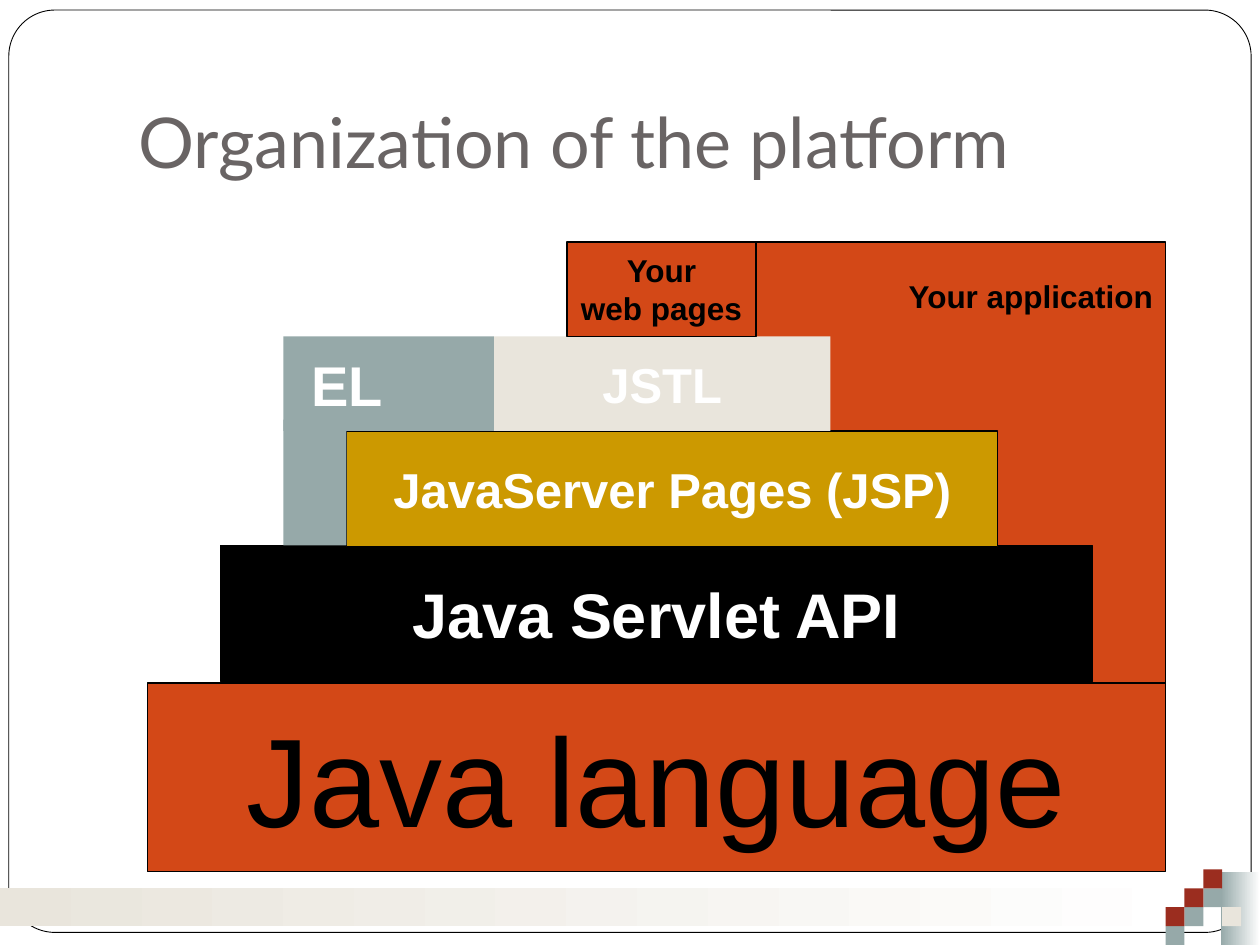
from pptx import Presentation
from pptx.dml.color import RGBColor
from pptx.enum.shapes import MSO_SHAPE
from pptx.enum.text import MSO_ANCHOR, PP_ALIGN
from pptx.util import Inches, Pt

BLACK = RGBColor(0x00, 0x00, 0x00)
WHITE = RGBColor(0xFF, 0xFF, 0xFF)
ORANGE = RGBColor(0xD3, 0x48, 0x17)
GOLD = RGBColor(0xCC, 0x99, 0x00)
TEAL = RGBColor(0x96, 0xA9, 0xA9)
SAND = RGBColor(0xE9, 0xE5, 0xDC)
RED = RGBColor(0x9B, 0x2D, 0x1F)
TITLE_GRAY = RGBColor(0x69, 0x64, 0x64)


def add_block(slide, box, color, outline=None, preset=MSO_SHAPE.RECTANGLE):
    block = slide.shapes.add_shape(preset, *map(Inches, box))
    block.shadow.inherit = False
    block.fill.solid()
    block.fill.fore_color.rgb = color
    if outline:
        block.line.color.rgb = BLACK
        block.line.width = Pt(outline)
    else:
        block.line.fill.background()
    return block


def add_fade(slide, box, color):
    fade = add_block(slide, box, color)
    fade.fill.gradient()
    fade.fill.gradient_angle = 0
    for stop, shade in zip(fade.fill.gradient_stops, (color, WHITE)):
        stop.color.rgb = shade


def write(shape, lines, size, color, bold=True, font="Arial",
          align=PP_ALIGN.CENTER, anchor=MSO_ANCHOR.MIDDLE):
    frame = shape.text_frame
    frame.word_wrap = True
    frame.vertical_anchor = anchor
    for index, line in enumerate(lines):
        paragraph = frame.add_paragraph() if index else frame.paragraphs[0]
        paragraph.alignment = align
        run = paragraph.add_run()
        run.text = line
        run.font.name = font
        run.font.size = Pt(size)
        run.font.bold = bold
        run.font.color.rgb = color
    return frame


def add_backdrop(slide):
    border = add_block(slide, (0.07, 0.08, 9.86, 7.32), WHITE, 0.5,
                       MSO_SHAPE.ROUNDED_RECTANGLE)
    border.adjustments[0] = 0.05
    add_fade(slide, (9.69, 6.92, 0.31, 0.58), TEAL)
    add_fade(slide, (0, 7.05, 9.55, 0.3), SAND)
    mosaic = [(1, 2, TEAL), (0, 3, TEAL), (0, 2, RED), (2, 1, TEAL),
              (3, 2, SAND), (1, 1, RED), (2, 0, RED)]
    tile = 0.15
    for column, row, color in mosaic:
        add_block(slide, (9.25 + column * tile, 6.9 + row * tile, tile, tile), color)


def add_title(slide, text):
    title = slide.shapes.add_textbox(Inches(1), Inches(0.3), Inches(8.5), Inches(1.25))
    frame = write(title, [text], 40, TITLE_GRAY, False, "Lato",
                  PP_ALIGN.LEFT, MSO_ANCHOR.BOTTOM)
    frame.margin_bottom = Inches(0.1)


def add_platform(slide):
    application = add_block(slide, (5.08, 1.92, 4.17, 3.83), ORANGE, 0.75)
    frame = write(application, ["Your application"], 18, BLACK,
                  align=PP_ALIGN.RIGHT, anchor=MSO_ANCHOR.TOP)
    frame.margin_top = Inches(0.28)

    layers = [
        ((1.17, 5.42, 8.08, 1.5), ORANGE, 0.75, ["Java language"], 72, BLACK, False),
        ((1.75, 4.33, 6.92, 1.08), BLACK, 0.75, ["Java Servlet API"], 36, WHITE, True),
        ((2.75, 3.42, 5.17, 0.92), GOLD, 0.75, ["JavaServer Pages (JSP)"], 28, WHITE, True),
        ((3.92, 2.67, 2.67, 0.75), SAND, None, ["JSTL"], 28, WHITE, True),
        ((4.5, 1.92, 1.5, 0.75), ORANGE, 0.75, ["Your", "web pages"], 18, BLACK, True),
    ]
    for box, fill, outline, lines, size, color, bold in layers:
        write(add_block(slide, box, fill, outline), lines, size, color, bold)

    expression_language = add_block(slide, (2.25, 2.67, 1.67, 0.75), TEAL)
    frame = write(expression_language, ["EL"], 32, WHITE, align=PP_ALIGN.LEFT)
    frame.margin_left = Inches(0.22)
    add_block(slide, (2.25, 3.33, 0.5, 1), TEAL)


def main():
    presentation = Presentation()
    presentation.slide_width = Inches(10)
    presentation.slide_height = Inches(7.5)
    slide = presentation.slides.add_slide(presentation.slide_layouts[6])
    add_backdrop(slide)
    add_title(slide, "Organization of the platform")
    add_platform(slide)
    presentation.save("out.pptx")


if __name__ == "__main__":
    main()
